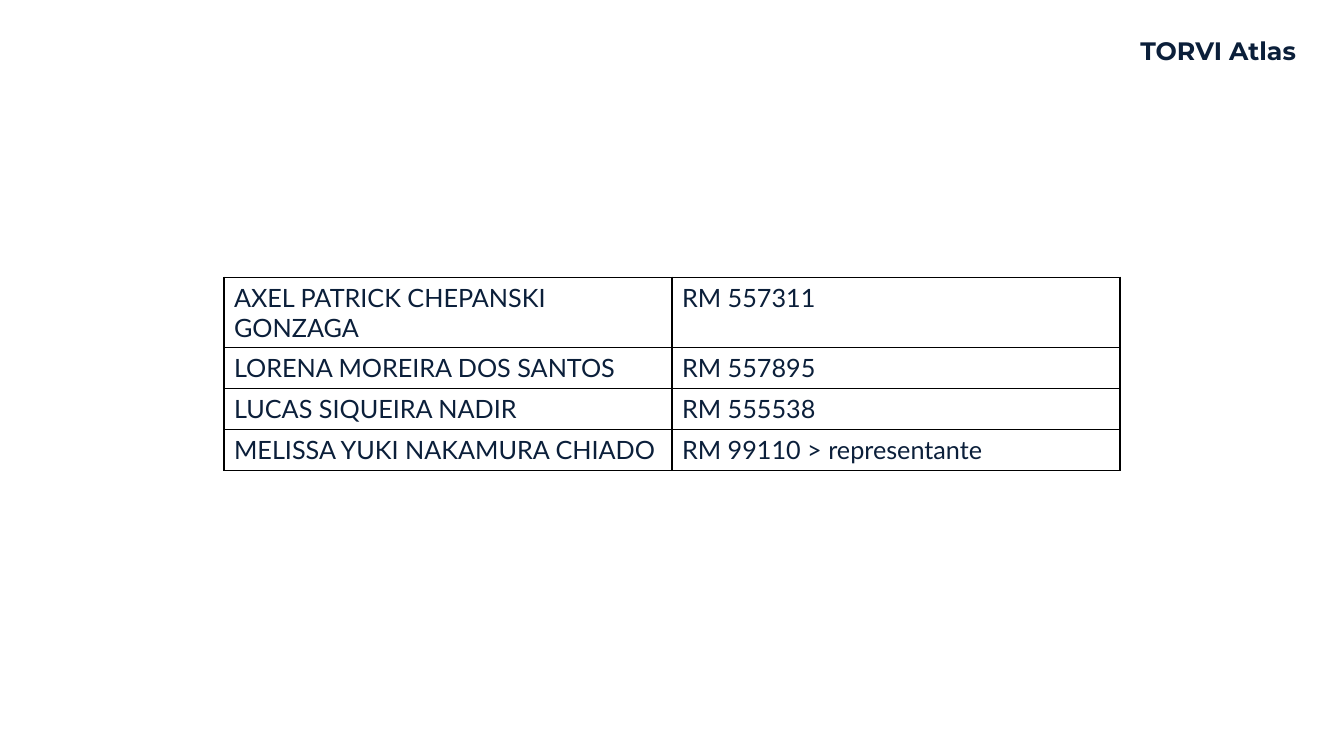
import pptx
import pptx.util
import pptx.dml.color
import pptx.enum.text
import pptx.oxml
import pptx.oxml.ns
import lxml.etree

NAVY, BLACK, WHITE = "0B1F3A", "000000", "FFFFFF"
MEMBERS = [
    ("AXEL PATRICK CHEPANSKI GONZAGA", "RM 557311"),
    ("LORENA MOREIRA DOS SANTOS", "RM 557895"),
    ("LUCAS SIQUEIRA NADIR", "RM 555538"),
    ("MELISSA YUKI NAKAMURA CHIADO", "RM 99110 > representante"),
]


def paint(fmt, color):
    if hasattr(fmt, "solid"):
        fmt.solid()
        fmt = fmt.fore_color
    fmt.rgb = pptx.dml.color.RGBColor.from_string(color)


def add_run(p, text, font, bold=False):
    r = p.add_run()
    r.text = text
    r.font.name = font
    r.font.size = pptx.util.Pt(18)
    r.font.bold = bold
    paint(r.font.color, NAVY)


prs = pptx.Presentation()
prs.slide_width = pptx.util.Inches(13.33)
prs.slide_height = pptx.util.Inches(7.5)
W = prs.slide_width
s = prs.slides.add_slide(prs.slide_layouts[5])
paint(s.background.fill, WHITE)

sp = s.shapes.title
sp.left, sp.top = pptx.util.Inches(11.21), pptx.util.Inches(0.37)
sp.width, sp.height = pptx.util.Inches(1.82), pptx.util.Inches(0.34)
tf = sp.text_frame
tf.auto_size = pptx.enum.text.MSO_AUTO_SIZE.NONE
tf.word_wrap = False
tf.vertical_anchor = pptx.enum.text.MSO_ANCHOR.MIDDLE
p = tf.paragraphs[0]
p.alignment = pptx.enum.text.PP_ALIGN.LEFT
p.line_spacing = 0.7
add_run(p, "TORVI Atlas", "Montserrat", True)

row_h = pptx.util.Inches(0.405)
tbl = s.shapes.add_table(len(MEMBERS), 2, W // 6, pptx.util.Inches(2.75),
                         W * 2 // 3, row_h * len(MEMBERS)).table
tbl.first_row = False
tbl.horz_banding = False
for row, member in zip(tbl.rows, MEMBERS):
    row.height = row_h
    for cell, text in zip(row.cells, member):
        add_run(cell.text_frame.paragraphs[0], text, "Lato")
        tcPr = cell._tc.get_or_add_tcPr()
        for side in ("lnL", "lnR", "lnT", "lnB"):
            ln = lxml.etree.SubElement(tcPr, pptx.oxml.ns.qn("a:" + side), w=str(pptx.util.Pt(1)))
            fill = lxml.etree.SubElement(ln, pptx.oxml.ns.qn("a:solidFill"))
            lxml.etree.SubElement(fill, pptx.oxml.ns.qn("a:srgbClr"), val=BLACK)
        paint(cell.fill, WHITE)

prs.save("out.pptx")
